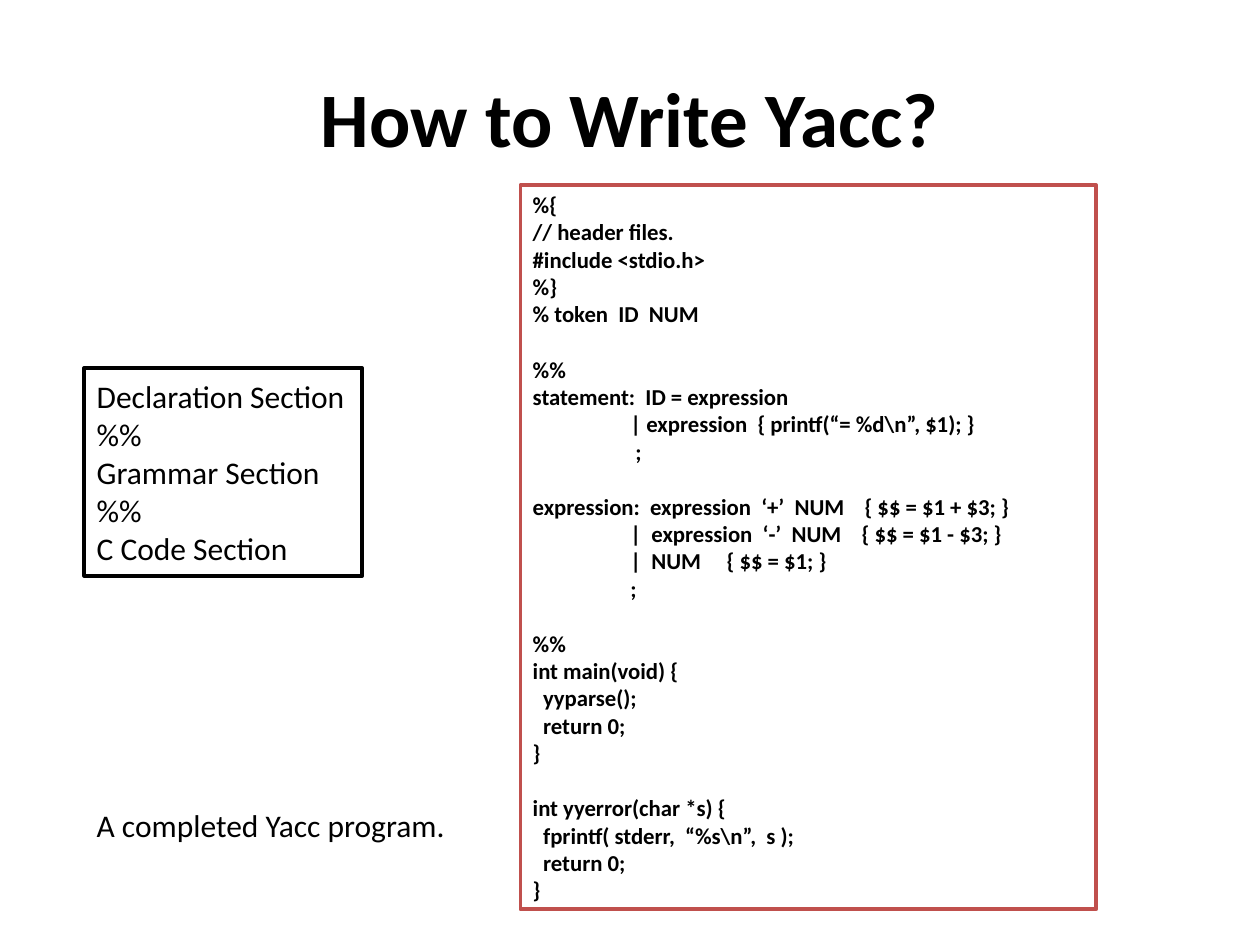
from pptx import Presentation
from pptx.dml.color import RGBColor
from pptx.enum import shapes, text
from pptx.oxml import ns
from pptx.util import Cm, Pt
from lxml import etree

FONT = "Calibri"
BLACK, WHITE, RED = "000000", "FFFFFF", "C0504D"
STEP, BAR, SEMI = 0.21, 1.97, 2.07
PARTS = [["Declaration Section", "%%", "Grammar Section", "%%", "C Code Section"]]
CODE = [
    ["%{", "// header files.", "#include <stdio.h>", "%}", "% token  ID  NUM"],
    ["%%", "statement:  ID = expression",
     ("\t| expression  { printf(“= %d\\n”, $1); }", BAR),
     ("\t;", SEMI)],
    [("expression:  expression  ‘+’  NUM\t{ $$ = $1 + $3; }", 6.69),
     ("\t|  expression  ‘-’  NUM\t{ $$ = $1 - $3; }", BAR, 6.63),
     ("\t|  NUM\t{ $$ = $1; }", BAR, 3.91),
     ("\t;", BAR)],
    ["%%", "int main(void) {", ("\tyyparse();", STEP), ("\treturn 0;", STEP), "}"],
    ["int yyerror(char *s) {", ("\tfprintf( stderr,  “%s\\n”,  s );", STEP),
     ("\treturn 0;", STEP), "}"],
]


def color(code):
    """Turn a hex string into a colour."""
    return RGBColor.from_string(code)


def add_run(para, words, size, bold=False):
    """Add one formatted run to a paragraph."""
    run = para.add_run()
    run.text = words
    run.font.name, run.font.size, run.font.bold = FONT, Pt(size), bold
    run.font.color.rgb = color(BLACK)


def set_tabs(para, stops):
    """Give a paragraph left tab stops, in centimetres."""
    tabs = etree.SubElement(para._p.get_or_add_pPr(), ns.qn("a:tabLst"))
    for stop in stops:
        etree.SubElement(tabs, ns.qn("a:tab"), pos=str(int(Cm(stop))), algn="l")


def fill_text(frame, groups, size, bold=False):
    """Write groups of lines, with one line of space between groups."""
    frame.word_wrap = True
    para = None
    for group in groups:
        for row, line in enumerate(group):
            words, *stops = (line,) if isinstance(line, str) else line
            first = para is None
            para = frame.paragraphs[0] if first else frame.add_paragraph()
            para.alignment = text.PP_ALIGN.LEFT
            if row == 0 and not first:
                para.space_before = Pt(size * 1.22)
            if stops:
                set_tabs(para, stops)
            add_run(para, words, size, bold)


def add_title(slide, box, words):
    """Place and format the slide title."""
    title = slide.shapes.title
    title.left, title.top, title.width, title.height = map(Cm, box)
    frame = title.text_frame
    frame.vertical_anchor = text.MSO_ANCHOR.MIDDLE
    para = frame.paragraphs[0]
    para.alignment = text.PP_ALIGN.CENTER
    add_run(para, words, 44, True)


def add_panel(slide, box, groups, size, edge, width, fill=None, bold=False):
    """Add a framed box of text lines."""
    panel = slide.shapes.add_shape(shapes.MSO_SHAPE.RECTANGLE, *map(Cm, box))
    panel.shadow.inherit = False
    if fill:
        panel.fill.solid()
        panel.fill.fore_color.rgb = color(fill)
    else:
        panel.fill.background()
    panel.line.color.rgb = color(edge)
    panel.line.width = Pt(width)
    panel.text_frame.vertical_anchor = text.MSO_ANCHOR.MIDDLE
    fill_text(panel.text_frame, groups, size, bold)


def add_note(slide, box, words):
    """Add a plain line of text."""
    note = slide.shapes.add_textbox(*map(Cm, box))
    fill_text(note.text_frame, [[words]], 18)
    note.text_frame.auto_size = text.MSO_AUTO_SIZE.SHAPE_TO_FIT_TEXT


def main():
    """Build and save the slide."""
    deck = Presentation()
    deck.slide_width, deck.slide_height = Cm(25.4), Cm(19.05)
    slide = deck.slides.add_slide(deck.slide_layouts[5])
    add_title(slide, (1.27, 0.76, 22.86, 3.18), "How to Write Yacc?")
    add_panel(slide, (1.7, 7.42, 5.6, 4.19), PARTS, 18, BLACK, 2.25)
    add_panel(slide, (10.49, 3.73, 11.61, 14.6), CODE, 13, RED, 2, WHITE, True)
    add_note(slide, (1.7, 16.13, 7.8, 1.02), "A completed Yacc program.")
    deck.save("out.pptx")


main()
